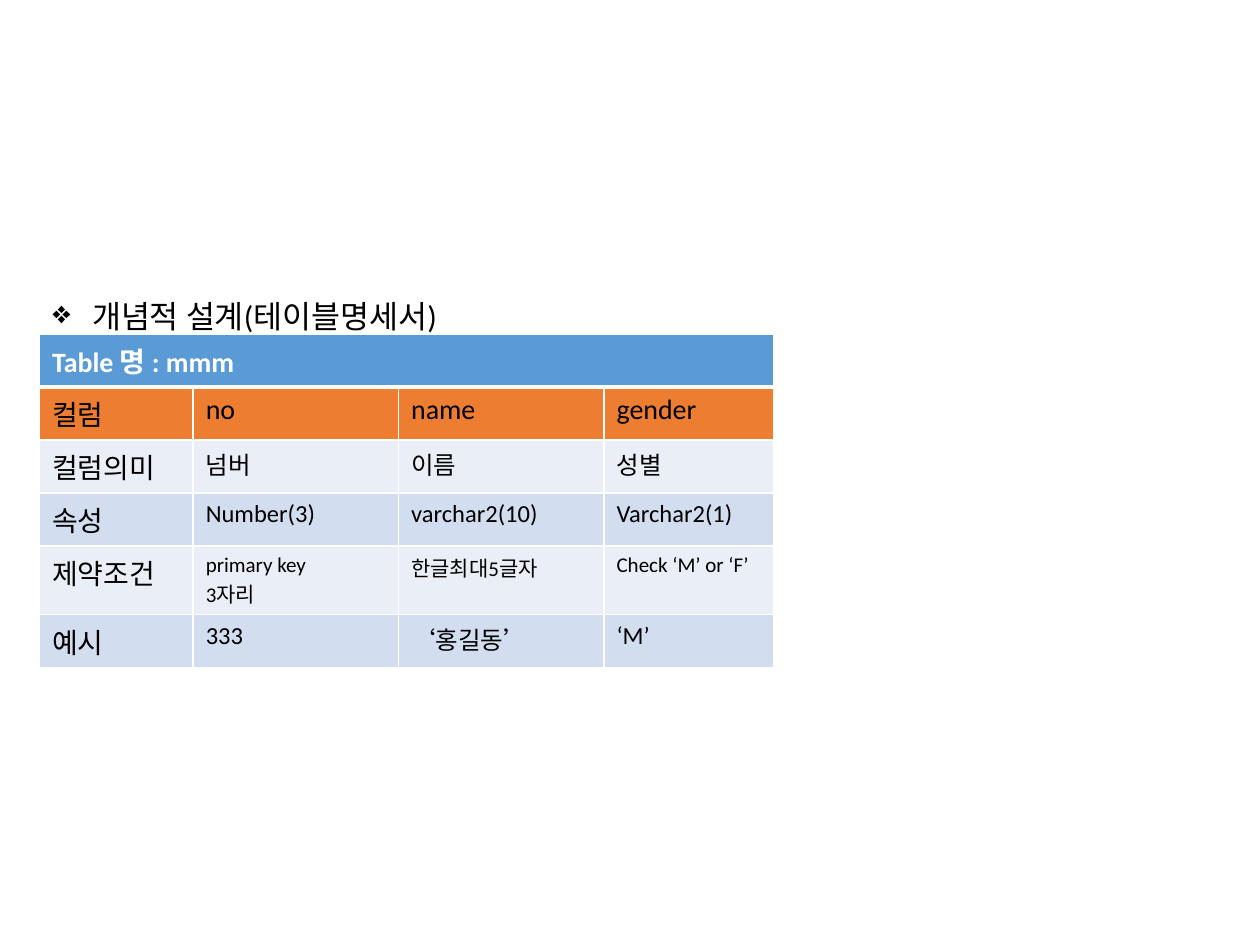
from lxml import etree
from pptx import Presentation
from pptx import util as u
from pptx.dml.color import RGBColor
from pptx.enum import text
from pptx.oxml import ns

Pt = u.Pt
FONT = "Calibri"
ROWS = [
    ["Table 명 : mmm", "", "", ""],
    ["컬럼", "no", "name", "gender"],
    ["컬럼의미", "넘버", "이름", "성별"],
    ["속성", "Number(3)", "varchar2(10)", "Varchar2(1)"],
    ["제약조건", "primary key\n3자리", "한글최대5글자", "Check ‘M’ or ‘F’"],
    ["예시", "333", "‘홍길동’", "‘M’"],
]
FILLS = ["5B9BD5", "ED7D31", "EAEFF7", "D2DEEF", "EAEFF7", "D2DEEF"]
VALUE_SIZES = [16, 16, 14, 14, 12, 14]
ROW_HEIGHTS = [14.4, 14.4, 14.4, 9.4, 19.4, 9.4]
COL_WIDTHS = [87.8, 117.4, 117.4, 97.2]


def rgb(value):
    """Return the colour for a hex string."""
    return RGBColor.from_string(value)


def style(p, size, color="000000", bold=False):
    """Set the font of a whole paragraph."""
    p.font.name, p.font.size, p.font.bold = FONT, Pt(size), bold
    p.font.color.rgb = rgb(color)


def add_border(cell, side, width):
    """Add a white border to one side of a cell."""
    ln = etree.SubElement(cell._tc.get_or_add_tcPr(), ns.qn(f"a:ln{side}"), w=str(Pt(width)))
    fill = etree.SubElement(ln, ns.qn("a:solidFill"))
    etree.SubElement(fill, ns.qn("a:srgbClr"), val="FFFFFF")


def add_heading(slide, x, y, w, h):
    """Place the bulleted heading in the given box."""
    tf = slide.shapes.add_textbox(Pt(x), Pt(y), Pt(w), Pt(h)).text_frame
    tf.word_wrap = False
    tf.auto_size = text.MSO_AUTO_SIZE.SHAPE_TO_FIT_TEXT
    p = tf.paragraphs[0]
    p.text = "개념적 설계(테이블명세서)"
    style(p, 18)
    pPr = p._p.get_or_add_pPr()
    pPr.set("marL", str(Pt(22.5)))
    pPr.set("indent", str(Pt(-22.5)))
    bullet = etree.Element(ns.qn("a:buChar"), char="❖")
    pPr.insert(0, bullet)


def add_spec_table(slide, x, y, w, h):
    """Place the table specification in the given box."""
    table = slide.shapes.add_table(len(ROWS), len(COL_WIDTHS), Pt(x), Pt(y), Pt(w), Pt(h)).table
    for col, width in zip(table.columns, COL_WIDTHS):
        col.width = Pt(width)
    for row, height in zip(table.rows, ROW_HEIGHTS):
        row.height = Pt(height)
    table.cell(0, 0).merge(table.cell(0, len(COL_WIDTHS) - 1))
    for i, values in enumerate(ROWS):
        for j, value in enumerate(values):
            cell = table.cell(i, j)
            cell.text = value
            for p in cell.text_frame.paragraphs:
                style(p, VALUE_SIZES[i] if j else 16, "000000" if i else "FFFFFF", i == 0)
            for side in "LRTB":
                add_border(cell, side, 3 if (i, side) in [(0, "B"), (1, "T")] else 1)
            cell.fill.solid()
            cell.fill.fore_color.rgb = rgb(FILLS[i])


def main():
    """Build and save the slide."""
    prs = Presentation()
    prs.slide_width, prs.slide_height = Pt(720), Pt(540)
    slide = prs.slides.add_slide(prs.slide_layouts[6])
    add_spec_table(slide, 22.6, 190.8, sum(COL_WIDTHS), 167.8)
    add_heading(slide, 23, 166.3, 252.7, 28.8)
    prs.save("out.pptx")


if __name__ == "__main__":
    main()
